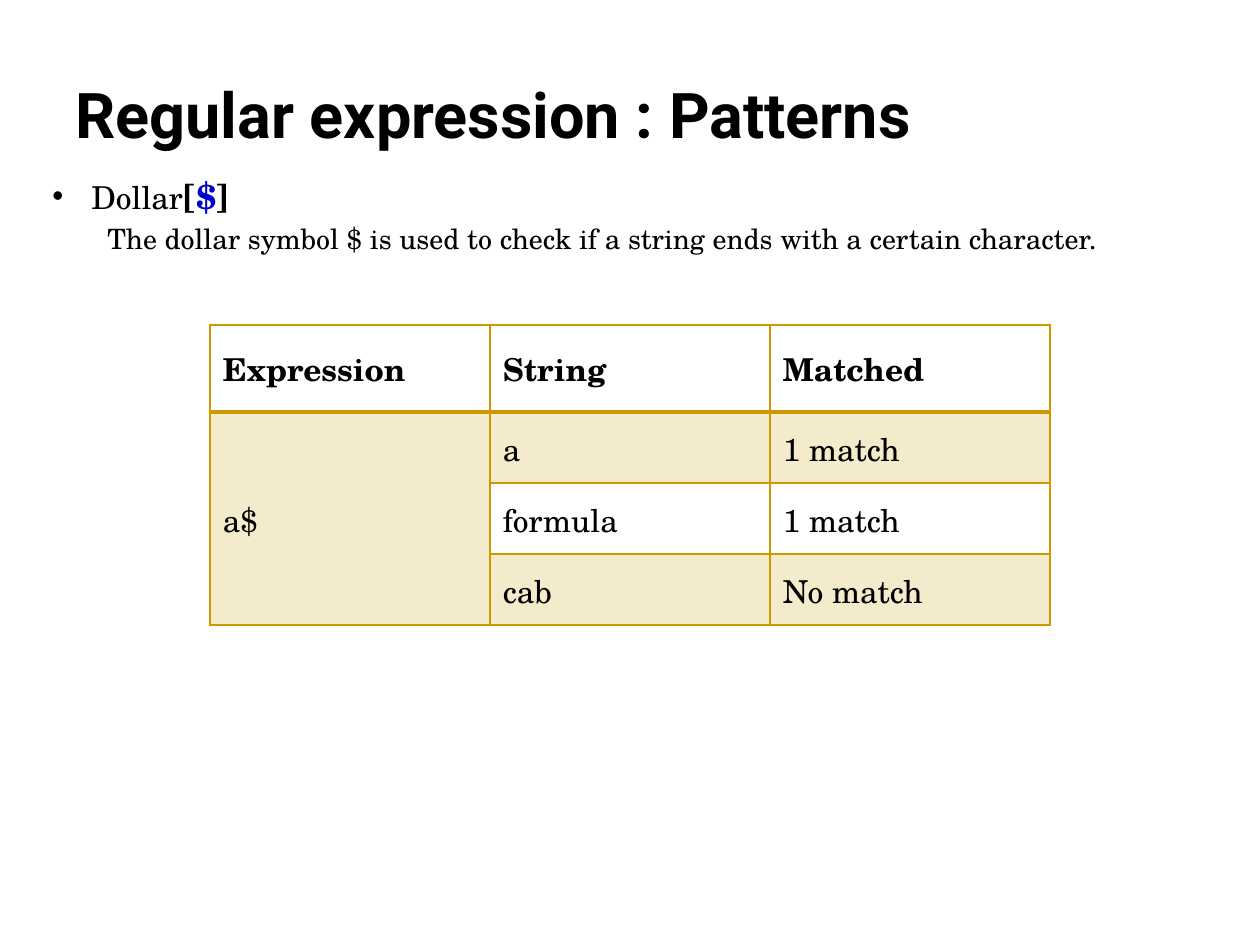
from dataclasses import dataclass

from lxml.etree import SubElement
from pptx import Presentation
from pptx.dml.color import RGBColor
from pptx.enum.text import MSO_ANCHOR as Anchor
from pptx.oxml.ns import qn
from pptx.util import Emu, Pt

HEAD_FONT, BODY_FONT = "Roboto", "TeX Gyre Schola"
BLACK, BLUE, GOLD = "000000", "0000CC", "CC9900"


@dataclass
class Row:
    height: int
    texts: tuple
    header: bool = False
    tinted: bool = False


ROWS = [
    Row(87, ("Expression", "String", "Matched"), header=True),
    Row(71, ("a$", "a", "1 match"), tinted=True),
    Row(71, ("", "formula", "1 match")),
    Row(71, ("", "cab", "No match"), tinted=True),
]
COLUMN_WIDTH = 280


def px(n: int) -> Emu:
    return Emu(round(n * 914400 / 126))


def rgb(color: str) -> RGBColor:
    return RGBColor.from_string(color)


def add_text(p, text: str, *, size=18, font=BODY_FONT, color=BLACK, bold=False):
    r = p.add_run()
    r.text = text
    r.font.size, r.font.name, r.font.bold = Pt(size), font, bold
    r.font.color.rgb = rgb(color)


def add_frame(s, x: int, y: int, w: int, h: int, anchor=Anchor.TOP):
    tf = s.shapes.add_textbox(px(x), px(y), px(w), px(h)).text_frame
    tf.word_wrap = True
    tf.vertical_anchor = anchor
    return tf


def set_indent(p, left: int, first: int = 0, bullet: str = ""):
    pPr = p._p.get_or_add_pPr()
    pPr.set("marL", str(px(left)))
    pPr.set("indent", str(px(first)))
    if bullet:
        SubElement(pPr, qn("a:buFont"), typeface="Arial")
        SubElement(pPr, qn("a:buChar"), char=bullet)


def set_borders(cell, **widths: float):
    tcPr = cell._tc.get_or_add_tcPr()
    for side, width in widths.items():
        ln = SubElement(tcPr, qn(f"a:ln{side}"), w=str(Pt(width)))
        fill = SubElement(ln, qn("a:solidFill"))
        SubElement(fill, qn("a:srgbClr"), val=GOLD)


def fill_cell(cell, tinted: bool):
    if not tinted:
        cell.fill.background()
        return
    cell.fill.solid()
    cell.fill.fore_color.rgb = rgb(GOLD)
    color = cell._tc.tcPr.find(qn("a:solidFill")).find(qn("a:srgbClr"))
    SubElement(color, qn("a:alpha"), val="20000")


def add_match_table(s, x: int, y: int, rows: list):
    columns = len(rows[0].texts)
    table = s.shapes.add_table(
        len(rows), columns, px(x), px(y), px(columns * COLUMN_WIDTH),
        px(sum(row.height for row in rows))).table
    table.first_row = table.horz_banding = False
    for column in table.columns:
        column.width = px(COLUMN_WIDTH)
    for i, row in enumerate(rows):
        table.rows[i].height = px(row.height)
        below_header = i > 0 and rows[i - 1].header
        for j, text in enumerate(row.texts):
            cell = table.cell(i, j)
            cell.vertical_anchor = Anchor.MIDDLE
            cell.margin_left, cell.margin_right = px(13), px(10)
            cell.margin_top, cell.margin_bottom = (
                (px(20), px(19)) if row.header else (px(13), px(11)))
            set_borders(cell, L=1, R=1, T=2 if below_header else 1,
                        B=2 if row.header else 1)
            fill_cell(cell, row.tinted)
            if text:
                add_text(cell.text_frame.paragraphs[0], text, bold=row.header)
    # The expression spans every body row
    table.cell(1, 0).merge(table.cell(len(rows) - 1, 0))


def main():
    prs = Presentation()
    prs.slide_width, prs.slide_height = px(1260), px(945)
    s = prs.slides.add_slide(prs.slide_layouts[6])

    # Title
    tf = add_frame(s, 63, 10, 935, 147, Anchor.BOTTOM)
    add_text(tf.paragraphs[0], "Regular expression : Patterns",
             size=36, font=HEAD_FONT, bold=True)

    # Bullet and its explanation
    tf = add_frame(s, 32, 168, 1228, 777)
    p = tf.paragraphs[0]
    p.space_before = Pt(4)
    set_indent(p, 47, -39, "•")
    add_text(p, "Dollar")
    for text, color in (("[", BLACK), ("$", BLUE), ("]", BLACK)):
        add_text(p, text, size=20, color=color, bold=True)
    p = tf.add_paragraph()
    p.level = 1
    p.space_before = Pt(3.2)
    set_indent(p, 63)
    add_text(p, "The dollar symbol $ is used to check if a string "
                "ends with a certain character.", size=16)

    # Table of matches
    add_match_table(s, 210, 325, ROWS)

    prs.save("out.pptx")


if __name__ == "__main__":
    main()
